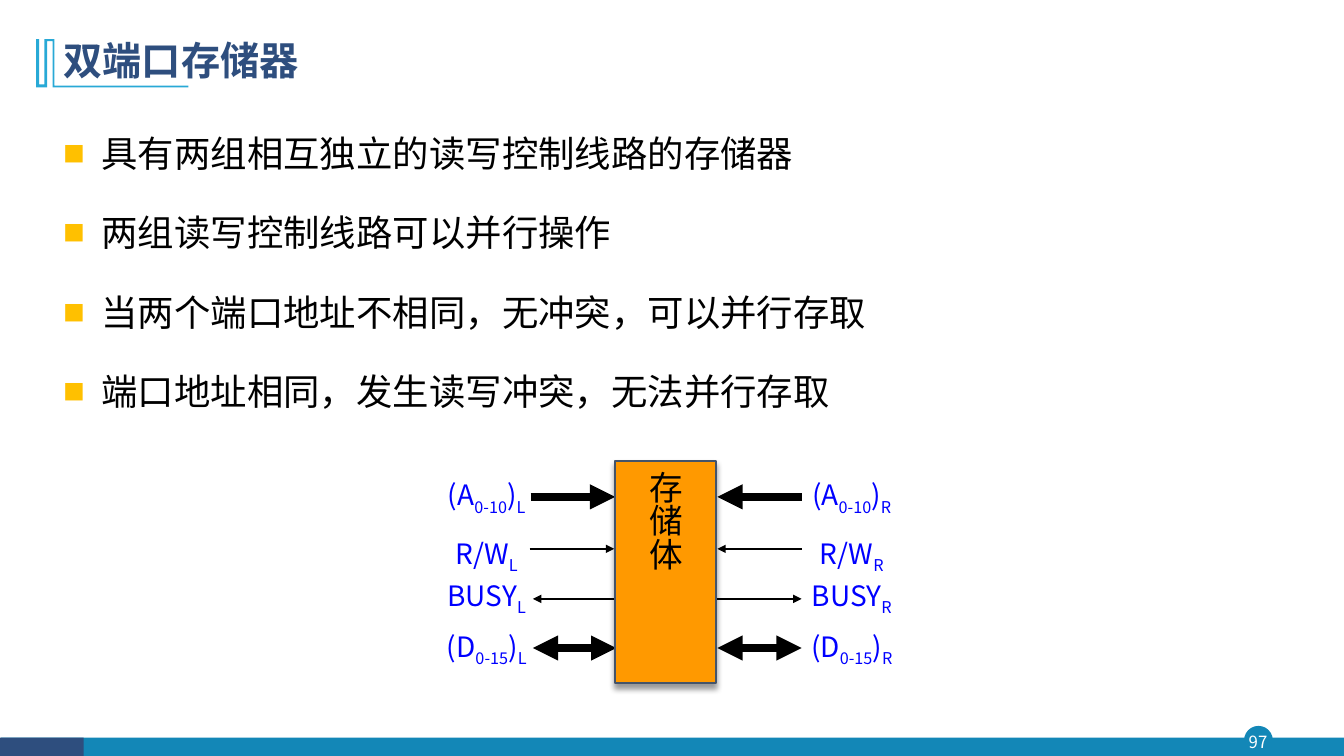
from lxml import etree
from pptx import Presentation
from pptx.dml.color import RGBColor
from pptx.enum.shapes import MSO_CONNECTOR as Connector, MSO_SHAPE as Shape
from pptx.enum.text import MSO_ANCHOR as Anchor, PP_ALIGN as Align
from pptx.oxml.ns import qn
from pptx.util import Cm, Pt

# Content
TITLE = "双端口存储器"
POINTS = [
    "具有两组相互独立的读写控制线路的存储器",
    "两组读写控制线路可以并行操作",
    "当两个端口地址不相同，无冲突，可以并行存取",
    "端口地址相同，发生读写冲突，无法并行存取",
]
MEMORY = "存储体"
PAGE_NUMBER = "97"
# Label parts (every second one is a subscript), label top, line y,
# line width, arrow at the label, arrow at the memory, left line start and end
SIGNALS = [
    (["(A", "0-10", ")"], 11.92, 12.52, 6, False, True, 13.37, 15.5),
    (["R/W"], 13.4, 13.83, 1.5, False, True, 13.35, 15.48),
    (["BUSY"], 14.45, 15.09, 1.5, True, False, 13.43, 15.53),
    (["(D", "0-15", ")"], 15.73, 16.33, 6, True, True, 13.43, 15.53),
]
# Port letter, label left, label width
PORTS = [("L", 10.46, 3.61), ("R", 19.56, 3.81)]
RIGHT_LINE = (20.2, 18.08)
CORNER = [
    (1.37, 0.99), (1.37, 2.16), (4.75, 2.16), (4.75, 2.2), (1.33, 2.2),
    (1.33, 1.04), (1.19, 1.04), (1.19, 2.2), (0.91, 2.2), (0.91, 0.99),
    (0.99, 0.99), (0.99, 2.13), (1.12, 2.13), (1.12, 0.99),
]

# Style
SANS, LABEL_FONT, LATO = "Noto Sans CJK SC", "Noto Sans CJK JP", "Lato"
NAVY = RGBColor(0x2E, 0x4E, 0x7E)
TEAL = RGBColor(0x13, 0x87, 0xB7)
SKY = RGBColor(0x28, 0xA9, 0xD6)
GOLD = RGBColor(0xFF, 0xC0, 0x00)
ORANGE = RGBColor(0xFF, 0x99, 0x00)
SLATE = RGBColor(0x44, 0x54, 0x6A)
BLUE = RGBColor(0x00, 0x00, 0xFF)
BLACK = RGBColor(0x00, 0x00, 0x00)
WHITE = RGBColor(0xFF, 0xFF, 0xFF)


def add_xml(parent, tag, **attributes):
    return etree.SubElement(parent, qn(tag), attributes)


def style(span, size, font, color, bold=False):
    span.font.size = Pt(size)
    span.font.name = font
    span.font.bold = bold
    span.font.color.rgb = color
    add_xml(span.font._element, "a:ea", typeface=font)


def paint(shape, fill, line=None, width=1):
    shape.shadow.inherit = False
    shape.fill.solid()
    shape.fill.fore_color.rgb = fill
    if line is None:
        shape.line.fill.background()
    else:
        shape.line.color.rgb = line
        shape.line.width = Pt(width)
    return shape


def add_shape(kind, left, top, width, height, *colors):
    shape = page.shapes.add_shape(kind, Cm(left), Cm(top), Cm(width), Cm(height))
    return paint(shape, *colors)


def add_text(left, top, width, height):
    box = page.shapes.add_textbox(Cm(left), Cm(top), Cm(width), Cm(height))
    box.text_frame.word_wrap = True
    return box.text_frame


def add_arrow(start, end, y, width, head, tail):
    arrow = page.shapes.add_connector(
        Connector.STRAIGHT, Cm(start), Cm(y), Cm(end), Cm(y))
    arrow.line.color.rgb = BLACK
    arrow.line.width = Pt(width)
    outline = arrow.line._get_or_add_ln()
    if head:
        add_xml(outline, "a:headEnd", type="triangle")
    if tail:
        add_xml(outline, "a:tailEnd", type="triangle")
    add_xml(arrow._element.spPr, "a:effectLst")


deck = Presentation()
deck.slide_width, deck.slide_height = Cm(33.87), Cm(19.05)
page = deck.slides.add_slide(deck.slide_layouts[5])

# Footer and page number
add_shape(Shape.OVAL, 31.37, 18.31, 0.69, 0.69, TEAL, TEAL)
add_shape(Shape.RECTANGLE, 0.03, 18.59, 33.84, 0.48, TEAL)
add_shape(Shape.RECTANGLE, 0, 18.59, 2.11, 0.48, NAVY)
number = add_text(31.3, 18.31, 0.81, 0.79)
number.margin_left = number.margin_right = 0
number.margin_top = number.margin_bottom = 0
number.vertical_anchor = Anchor.MIDDLE
number.text = PAGE_NUMBER
number.paragraphs[0].alignment = Align.CENTER
style(number.paragraphs[0].runs[0], 12, SANS, WHITE)

# Title and its corner ornament
points = [(Cm(x), Cm(y)) for x, y in CORNER]
corner = page.shapes.build_freeform(*points[0])
corner.add_line_segments(points[1:], close=True)
paint(corner.convert_to_shape(), SKY)

title = page.shapes.title
title.left, title.top, title.width, title.height = (
    Cm(1.35), Cm(0.71), Cm(29.21), Cm(1.73))
title.text_frame.text = TITLE
title.text_frame.vertical_anchor = Anchor.MIDDLE
heading = title.text_frame.paragraphs[0]
heading.alignment = Align.LEFT
heading.line_spacing = 0.9
style(heading.runs[0], 28, SANS, NAVY, bold=True)

# Bulleted points
body = add_text(1.35, 2.62, 29.21, 15.65)
body.text = "\n".join(POINTS)
for index, para in enumerate(body.paragraphs):
    para.alignment = Align.JUSTIFY
    para.line_spacing = 1.5
    para.space_before = Pt(10 if index else 0)
    properties = para._p.get_or_add_pPr()
    properties.set("marL", str(Cm(0.96)))
    properties.set("indent", str(-Cm(0.96)))
    bullet_color = add_xml(properties, "a:buClr")
    add_xml(bullet_color, "a:srgbClr", val=str(GOLD))
    add_xml(properties, "a:buSzPct", val="60000")
    add_xml(properties, "a:buFont", typeface=SANS)
    add_xml(properties, "a:buChar", char="■")
    style(para.runs[0], 26, SANS, BLACK)

# Signals of both ports
for port, label_left, label_width in PORTS:
    for parts, top, y, width, head, tail, start, end in SIGNALS:
        if port == "R":
            start, end = RIGHT_LINE
        add_arrow(start, end, y, width, head, tail)
        label = add_text(label_left, top, label_width, 1.09)
        para = label.paragraphs[0]
        para.alignment = Align.CENTER
        for index, part in enumerate(parts + [port]):
            span = para.add_run()
            span.text = part
            style(span, 20, LABEL_FONT, BLUE)
            if index % 2:
                span.font._element.set("baseline", "-25000")

# Memory block with its soft shadow
memory = add_shape(Shape.RECTANGLE, 15.5, 11.61, 2.54, 5.61, ORANGE, SLATE, 1.5)
effects = memory._element.spPr.find(qn("a:effectLst"))
shadow = add_xml(effects, "a:outerShdw", blurRad=str(Pt(4)), dist=str(Pt(3)),
                 dir="5400000", rotWithShape="0")
shade = add_xml(shadow, "a:srgbClr", val=str(BLACK))
add_xml(shade, "a:alpha", val="40000")
frame = memory.text_frame
frame.text = MEMORY
frame.word_wrap = False
frame.vertical_anchor = Anchor.MIDDLE
frame._txBody.bodyPr.set("vert", "eaVert")
frame.paragraphs[0].alignment = Align.CENTER
style(frame.paragraphs[0].runs[0], 24, LATO, BLACK)

deck.save("out.pptx")
